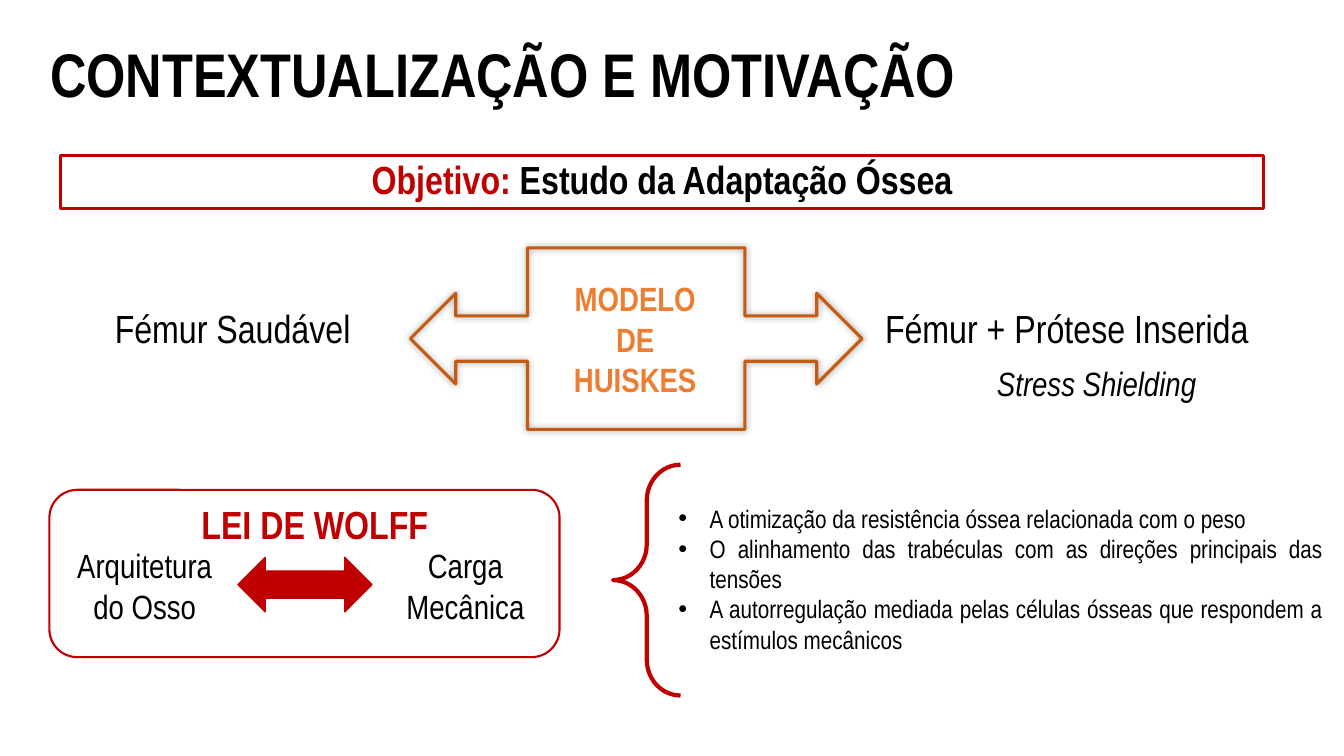
from lxml import etree
from pptx import Presentation
from pptx.dml.color import RGBColor
from pptx.enum import shapes, text
from pptx.oxml import ns
from pptx.util import Inches, Pt

FONT = "Arial Narrow"
RED, ORANGE, RUST, BLACK = "C00000", "ED7D31", "C55A11", "000000"
SHAPE = shapes.MSO_SHAPE
ALIGN = text.PP_ALIGN


def rgb(value):
    return RGBColor.from_string(value)


def add_xml(parent, tag, **attributes):
    return etree.SubElement(parent, ns.qn(tag), attributes)


def style(font, size, color, bold=False, italic=False):
    font.name = FONT
    font.size = Pt(size)
    font.bold = bold
    font.italic = italic
    font.color.rgb = rgb(color)


def add_outline(slide, kind, box, color, width, fill=None):
    shape = slide.shapes.add_shape(kind, *map(Inches, box))
    shape.shadow.inherit = False
    if fill:
        shape.fill.solid()
        shape.fill.fore_color.rgb = rgb(fill)
    else:
        shape.fill.background()
    shape.line.color.rgb = rgb(color)
    shape.line.width = Pt(width)
    return shape


def add_glow_shadow(shape, blur, opacity):
    """Spread a centred soft black shadow around the shape."""
    effects = shape.element.spPr.find(ns.qn("a:effectLst"))
    shadow = add_xml(effects, "a:outerShdw", blurRad=str(Pt(blur)), dist="0",
                     dir="0", algn="ctr", rotWithShape="0")
    tint = add_xml(shadow, "a:srgbClr", val=BLACK)
    add_xml(tint, "a:alpha", val=str(opacity * 1000))


def add_label(slide, box, wording, size, color=BLACK, align=ALIGN.LEFT,
              spacing=1.0, anchor=text.MSO_ANCHOR.TOP, **emphasis):
    frame = slide.shapes.add_textbox(*map(Inches, box)).text_frame
    frame.word_wrap = True
    frame.vertical_anchor = anchor
    paragraph = frame.paragraphs[0]
    paragraph.text = wording
    paragraph.alignment = align
    paragraph.line_spacing = spacing
    style(paragraph.font, size, color, **emphasis)


def add_objective(slide):
    banner = add_outline(slide, SHAPE.RECTANGLE, (0.6, 1.54, 11.93, 0.53), RED, 2.25)
    frame = banner.text_frame
    frame.word_wrap = True
    frame.vertical_anchor = text.MSO_ANCHOR.TOP
    paragraph = frame.paragraphs[0]
    paragraph.alignment = ALIGN.CENTER
    paragraph.line_spacing = 0.9
    for wording, color in (("Objetivo: ", RED), ("Estudo da Adaptação Óssea", BLACK)):
        run = paragraph.add_run()
        run.text = wording
        style(run.font, 28, color, bold=True)


def add_bullets(slide, box, items):
    frame = slide.shapes.add_textbox(*map(Inches, box)).text_frame
    frame.word_wrap = True
    for index, item in enumerate(items):
        paragraph = frame.add_paragraph() if index else frame.paragraphs[0]
        paragraph.text = item
        paragraph.alignment = ALIGN.JUSTIFY
        properties = paragraph._p.get_or_add_pPr()
        properties.set("marL", str(Inches(0.31)))
        properties.set("indent", str(Inches(-0.31)))
        add_xml(properties, "a:buFont", typeface="Arial")
        add_xml(properties, "a:buChar", char="•")
        style(paragraph.font, 18, BLACK)


def add_huiskes_model(slide):
    add_label(slide, (1.04, 3.02, 2.9, 0.8), "Fémur Saudável", 28, spacing=0.9)
    add_label(slide, (8.68, 3.02, 4.17, 0.8), "Fémur + Prótese Inserida", 28, spacing=0.9)
    callout = add_outline(slide, SHAPE.LEFT_RIGHT_ARROW_CALLOUT,
                          (4.07, 2.46, 4.48, 1.8), RUST, 2.25)
    add_glow_shadow(callout, blur=5, opacity=40)
    add_label(slide, (5.54, 2.71, 1.52, 1.31), "MODELO DE HUISKES", 24, ORANGE,
              ALIGN.CENTER, bold=True)
    add_label(slide, (9.79, 3.6, 2.5, 0.51), "Stress Shielding", 24,
              spacing=0.9, italic=True)


def add_wolff_law(slide):
    add_outline(slide, SHAPE.ROUNDED_RECTANGLE, (0.49, 4.86, 5.06, 1.66), RED, 1.5)
    add_label(slide, (1.9, 4.91, 2.46, 0.57), "LEI DE WOLFF", 28, RED, bold=True)
    add_outline(slide, SHAPE.LEFT_RIGHT_ARROW, (2.36, 5.53, 1.33, 0.54), RED, 1, fill=RED)
    for left, width, wording in ((0.6, 1.67, "Arquitetura do Osso"),
                                 (3.89, 1.45, "Carga Mecânica")):
        add_label(slide, (left, 5.36, width, 0.91), wording, 24, align=ALIGN.CENTER)


def add_consequences(slide):
    brace = add_outline(slide, SHAPE.LEFT_BRACE, (6.08, 4.61, 0.67, 2.29), RED, 3)
    brace.adjustments[0] = 0.53
    add_bullets(slide, (6.63, 4.94, 6.59, 1.62), (
        "A otimização da resistência óssea relacionada com o peso",
        "O alinhamento das trabéculas com as direções principais das tensões",
        "A autorregulação mediada pelas células ósseas que respondem a estímulos mecânicos",
    ))


def main():
    deck = Presentation()
    deck.slide_width, deck.slide_height = Inches(13.33), Inches(7.5)
    slide = deck.slides.add_slide(deck.slide_layouts[6])
    add_label(slide, (0.4, 0.04, 11.5, 1.45), "CONTEXTUALIZAÇÃO E MOTIVAÇÃO", 44,
              spacing=0.9, anchor=text.MSO_ANCHOR.MIDDLE, bold=True)
    add_objective(slide)
    add_huiskes_model(slide)
    add_wolff_law(slide)
    add_consequences(slide)
    deck.save("out.pptx")


if __name__ == "__main__":
    main()
